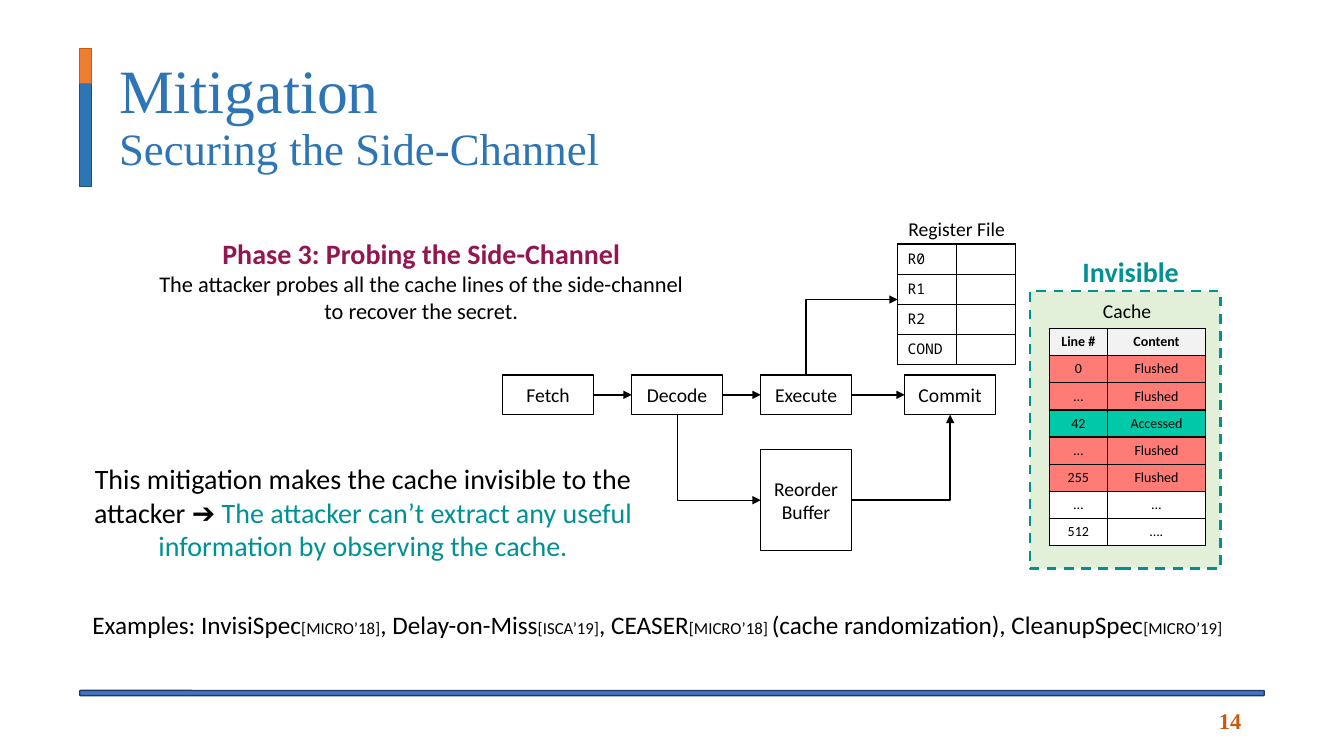
from dataclasses import dataclass

import lxml.etree
import pptx
import pptx.dml.color
import pptx.enum.dml
import pptx.enum.shapes
import pptx.enum.text
import pptx.oxml.ns
import pptx.util

Cm = pptx.util.Cm
Pt = pptx.util.Pt
qn = pptx.oxml.ns.qn
SHAPE = pptx.enum.shapes.MSO_SHAPE
CONNECTOR = pptx.enum.shapes.MSO_CONNECTOR
ALIGN = pptx.enum.text.PP_ALIGN
ANCHOR = pptx.enum.text.MSO_ANCHOR
TOP, LEFT, BOTTOM, RIGHT = range(4)


@dataclass(frozen=True)
class Theme:
    body: str = "Calibri"
    mono: str = "Noto Sans Mono"
    serif: str = "Times New Roman"
    black: str = "000000"
    white: str = "FFFFFF"
    title: str = "2E75B6"
    title_edge: str = "1F4E79"
    orange: str = "ED7D31"
    orange_dark: str = "C55A11"
    rule: str = "4472C4"
    rule_edge: str = "203864"
    phase: str = "941651"
    teal: str = "009193"
    cache: str = "E2F0D9"
    header: str = "F2F2F2"
    flushed: str = "FE7B76"
    accessed: str = "00C9A9"
    title_size: float = 44
    subtitle_size: float = 32
    lead_size: float = 20
    example_size: float = 18
    note_size: float = 16
    label_size: float = 14
    citation_size: float = 12
    register_size: float = 10.5
    cell_size: float = 10


@dataclass(frozen=True)
class Box:
    left: float
    top: float
    width: float
    height: float

    def inner(self, left, top, width, height):
        return Box(self.left + left, self.top + top, width, height)

    def emu(self):
        return Cm(self.left), Cm(self.top), Cm(self.width), Cm(self.height)


THEME = Theme()


def rgb(color):
    return pptx.dml.color.RGBColor.from_string(color)


def add_run(paragraph, text, size, color=THEME.black, font=THEME.body, bold=False):
    run = paragraph.add_run()
    run.text = text
    run.font.size = Pt(size)
    run.font.name = font
    run.font.bold = bold
    run.font.color.rgb = rgb(color)


def add_text(slide, box, paragraphs, align=ALIGN.CENTER, wrap=True, anchor=ANCHOR.TOP):
    frame = slide.shapes.add_textbox(*box.emu()).text_frame
    frame.word_wrap = wrap
    frame.vertical_anchor = anchor
    for index, runs in enumerate(paragraphs):
        paragraph = frame.paragraphs[0] if index == 0 else frame.add_paragraph()
        paragraph.alignment = align
        for run in runs:
            add_run(paragraph, *run)
    return frame


def add_block(slide, box, fill, edge, width=1, kind=SHAPE.RECTANGLE):
    block = slide.shapes.add_shape(kind, *box.emu())
    block.shadow.inherit = False
    block.fill.solid()
    block.fill.fore_color.rgb = rgb(fill)
    block.line.color.rgb = rgb(edge)
    block.line.width = Pt(width)
    return block


def add_stage(slide, box, lines):
    stage = add_block(slide, box, THEME.white, THEME.black)
    frame = stage.text_frame
    frame.vertical_anchor = ANCHOR.MIDDLE
    for index, line in enumerate(lines):
        paragraph = frame.paragraphs[0] if index == 0 else frame.add_paragraph()
        paragraph.alignment = ALIGN.CENTER
        add_run(paragraph, line, THEME.label_size)
    return stage


def side_point(shape, side):
    x = {LEFT: 0, RIGHT: shape.width}.get(side, shape.width // 2)
    y = {TOP: 0, BOTTOM: shape.height}.get(side, shape.height // 2)
    return shape.left + x, shape.top + y


def add_arrow(slide, source, source_side, target, target_side, elbow=False):
    start = side_point(source, source_side)
    end = target if isinstance(target, tuple) else side_point(target, target_side)
    kind = CONNECTOR.ELBOW if elbow else CONNECTOR.STRAIGHT
    arrow = slide.shapes.add_connector(kind, *start, *end)
    arrow.begin_connect(source, source_side)
    if not isinstance(target, tuple):
        arrow.end_connect(target, target_side)
    arrow.line.color.rgb = rgb(THEME.black)
    arrow.line.width = Pt(1)
    properties = arrow._element.spPr
    lxml.etree.SubElement(properties.find(qn("a:ln")), qn("a:tailEnd"), type="triangle")
    lxml.etree.SubElement(properties, qn("a:effectLst"))
    if elbow:
        properties.find(qn("a:prstGeom")).set("prst", "bentConnector2")
    if elbow and source_side in (TOP, BOTTOM):
        across, down = abs(end[0] - start[0]), abs(end[1] - start[1])
        arrow.left = (start[0] + end[0] - down) // 2
        arrow.top = (start[1] + end[1] - across) // 2
        arrow.width, arrow.height = down, across
        upward = source_side == TOP
        transform = properties.find(qn("a:xfrm"))
        transform.set("rot", "5400000" if upward else "16200000")
        transform.set("flipH", "1")
        transform.set("flipV", "1" if upward else "0")


def add_grid(slide, box, rows, widths, fills, size, font, align, bold_header):
    table = slide.shapes.add_table(len(rows), len(widths), *box.emu()).table
    table.first_row = table.horz_banding = False
    for column, width in zip(table.columns, widths):
        column.width = Cm(width)
    for r, (texts, fill) in enumerate(zip(rows, fills)):
        table.rows[r].height = Cm(box.height / len(rows))
        for c, text in enumerate(texts):
            cell = table.cell(r, c)
            paragraph = cell.text_frame.paragraphs[0]
            paragraph.alignment = align
            if text:
                add_run(paragraph, text, size, font=font, bold=bold_header and r == 0)
            else:
                lxml.etree.SubElement(paragraph._p, qn("a:endParaRPr"), sz=str(int(size * 100)))
            properties = cell._tc.get_or_add_tcPr()
            for edge in ("a:lnL", "a:lnR", "a:lnT", "a:lnB"):
                line = lxml.etree.SubElement(properties, qn(edge), w=str(Pt(1)))
                paint = lxml.etree.SubElement(line, qn("a:solidFill"))
                lxml.etree.SubElement(paint, qn("a:srgbClr"), val=THEME.black)
            cell.fill.solid()
            cell.fill.fore_color.rgb = rgb(fill)


def draw_header(slide, box):
    add_block(slide, box.inner(0, 0.89, 0.3, box.height - 0.89), THEME.title, THEME.title_edge)
    add_block(slide, box.inner(0, 0, 0.3, 0.89), THEME.orange, THEME.orange_dark)
    frame = add_text(slide, box.inner(0.74, 0, box.width - 0.74, box.height), [[]],
                     ALIGN.LEFT, anchor=ANCHOR.MIDDLE)
    heading = frame.paragraphs[0]
    heading.line_spacing = 0.9
    add_run(heading, "Mitigation", THEME.title_size, THEME.title, THEME.serif)
    heading.add_line_break()
    add_run(heading, "Securing the Side-Channel", THEME.subtitle_size, THEME.title, THEME.serif)


def draw_footer(slide, box):
    add_block(slide, box.inner(0, 0, box.width, 0.13), THEME.rule, THEME.rule_edge,
              kind=SHAPE.ROUNDED_RECTANGLE)
    add_text(slide, box.inner(24.74, 0.25, 4.78, 1.02),
             [[("14", THEME.note_size, THEME.orange_dark, THEME.serif, True)]],
             ALIGN.RIGHT, anchor=ANCHOR.MIDDLE)


def draw_explanation(slide, box):
    add_text(slide, box.inner(1.65, 0, 14.12, 2.49), [
        [("Phase 3: Probing the Side-Channel", THEME.lead_size, THEME.phase, THEME.body, True)],
        [("The attacker probes all the cache lines of the side-channel to recover the secret.",
          THEME.note_size)]])
    add_text(slide, box.inner(0, 5.67, 14.48, 2.82), [[
        ("This mitigation makes the cache invisible to the attacker ➔ ", THEME.lead_size),
        ("The attacker can’t extract any useful information by observing the cache.",
         THEME.lead_size, THEME.teal)]])


def draw_pipeline(slide, box):
    names = ("Fetch", "Decode", "Execute", "Commit")
    offsets = (0, 3.25, 6.5, 10.13)
    stages = [add_stage(slide, box.inner(x, 4.11, 2.29, 1), [name])
              for x, name in zip(offsets, names)]
    fetch, decode, execute, commit = stages
    reorder = add_stage(slide, box.inner(6.5, 5.99, 2.29, 2.55), ["Reorder", "Buffer"])
    for before, after in zip(stages, stages[1:]):
        add_arrow(slide, before, RIGHT, after, LEFT)
    add_arrow(slide, decode, BOTTOM, reorder, LEFT, elbow=True)
    add_arrow(slide, reorder, RIGHT, commit, BOTTOM, elbow=True)

    registers = box.inner(9.95, 0.81, 2.98, 3.03)
    add_text(slide, box.inner(9.95, 0, 2.98, 0.86), [[("Register File", THEME.label_size)]],
             wrap=False)
    add_grid(slide, registers, [(name, "") for name in ("R0", "R1", "R2", "COND")],
             (1.49, 1.49), [THEME.white] * 4, THEME.register_size, THEME.mono, ALIGN.LEFT, False)
    add_arrow(slide, execute, TOP, (Cm(registers.left), Cm(registers.top + 1.4)), LEFT, elbow=True)


def draw_cache(slide, box):
    panel = add_block(slide, box.inner(0, 1.04, box.width, box.height - 1.04),
                      THEME.cache, THEME.teal, 1.75)
    panel.line.dash_style = pptx.enum.dml.MSO_LINE.DASH
    add_text(slide, box.inner(1.07, 0, 2.97, 1.12),
             [[("Invisible", THEME.lead_size, THEME.teal, THEME.body, True)]], ALIGN.LEFT, False)
    add_text(slide, box.inner(1.57, 1.12, 1.75, 0.86), [[("Cache", THEME.label_size)]], wrap=False)
    rows = [("Line #", "Content"), ("0", "Flushed"), ("…", "Flushed"), ("42", "Accessed"),
            ("…", "Flushed"), ("255", "Flushed"), ("…", "…"), ("512", "….")]
    tints = {"Content": THEME.header, "Flushed": THEME.flushed, "Accessed": THEME.accessed}
    add_grid(slide, box.inner(0.48, 1.98, 3.94, 5.47), rows, (1.47, 2.47),
             [tints.get(content, THEME.white) for _, content in rows],
             THEME.cell_size, THEME.body, ALIGN.CENTER, True)


def draw_examples(slide, box):
    pieces = ("Examples: InvisiSpec", "[MICRO’18]", ", Delay-on-Miss", "[ISCA’19]", ", CEASER",
              "[MICRO’18] ", "(cache randomization), CleanupSpec", "[MICRO’19]")
    runs = [(piece, THEME.citation_size if piece.startswith("[") else THEME.example_size)
            for piece in pieces]
    add_text(slide, box, [runs], ALIGN.LEFT, False)


def main():
    deck = pptx.Presentation()
    deck.slide_width, deck.slide_height = Cm(33.87), Cm(19.05)
    slide = deck.slides.add_slide(deck.slide_layouts[6])
    draw_header(slide, Box(2.01, 1.22, 29.54, 3.48))
    draw_footer(slide, Box(2.01, 17.4, 29.85, 1.27))
    draw_explanation(slide, Box(1.91, 5.84, 15.77, 8.49))
    draw_pipeline(slide, Box(12.67, 5.34, 12.93, 8.54))
    draw_cache(slide, Box(25.96, 6.3, 4.8, 8.03))
    draw_examples(slide, Box(2.08, 15.24, 29.97, 1.02))
    deck.save("out.pptx")


if __name__ == "__main__":
    main()
